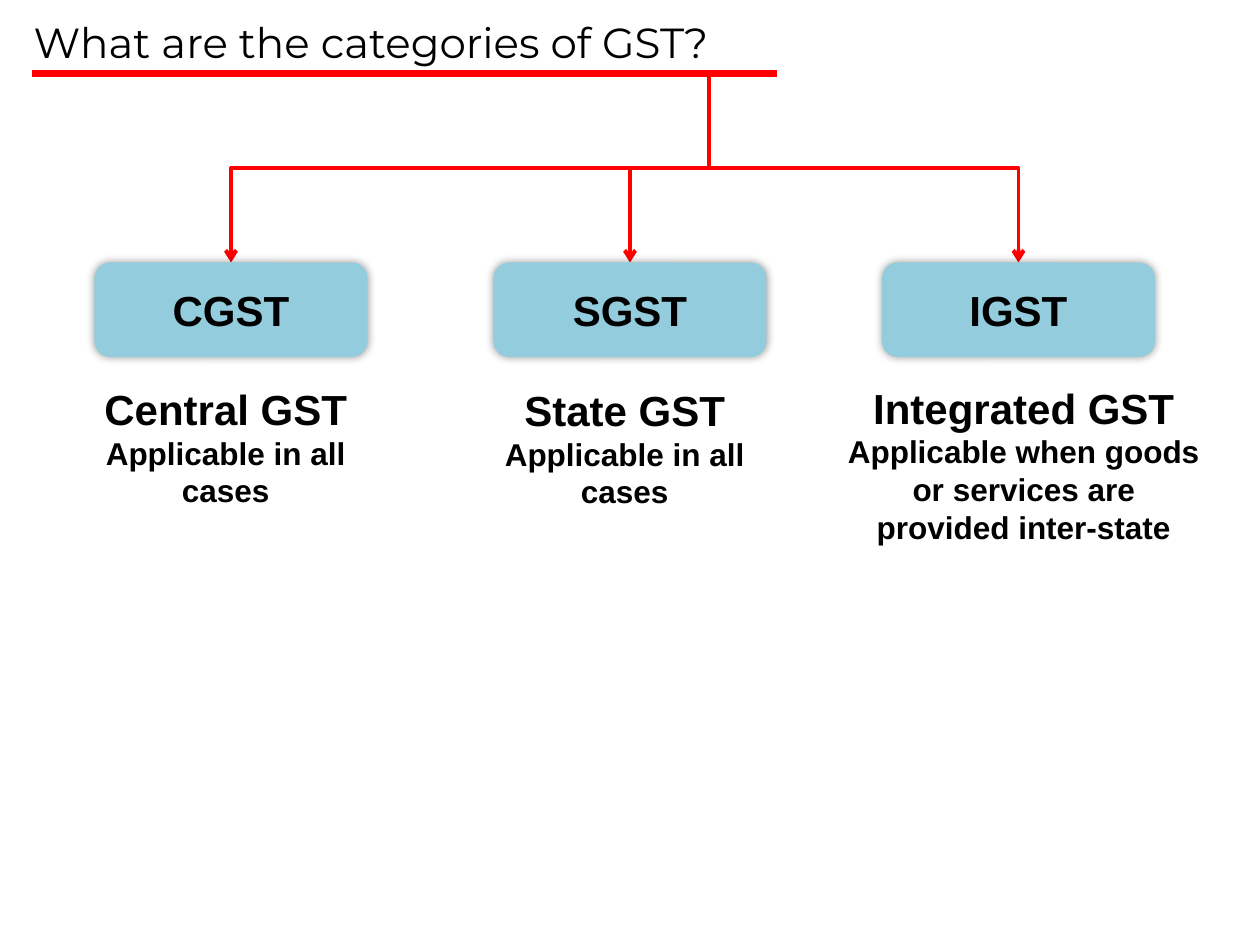
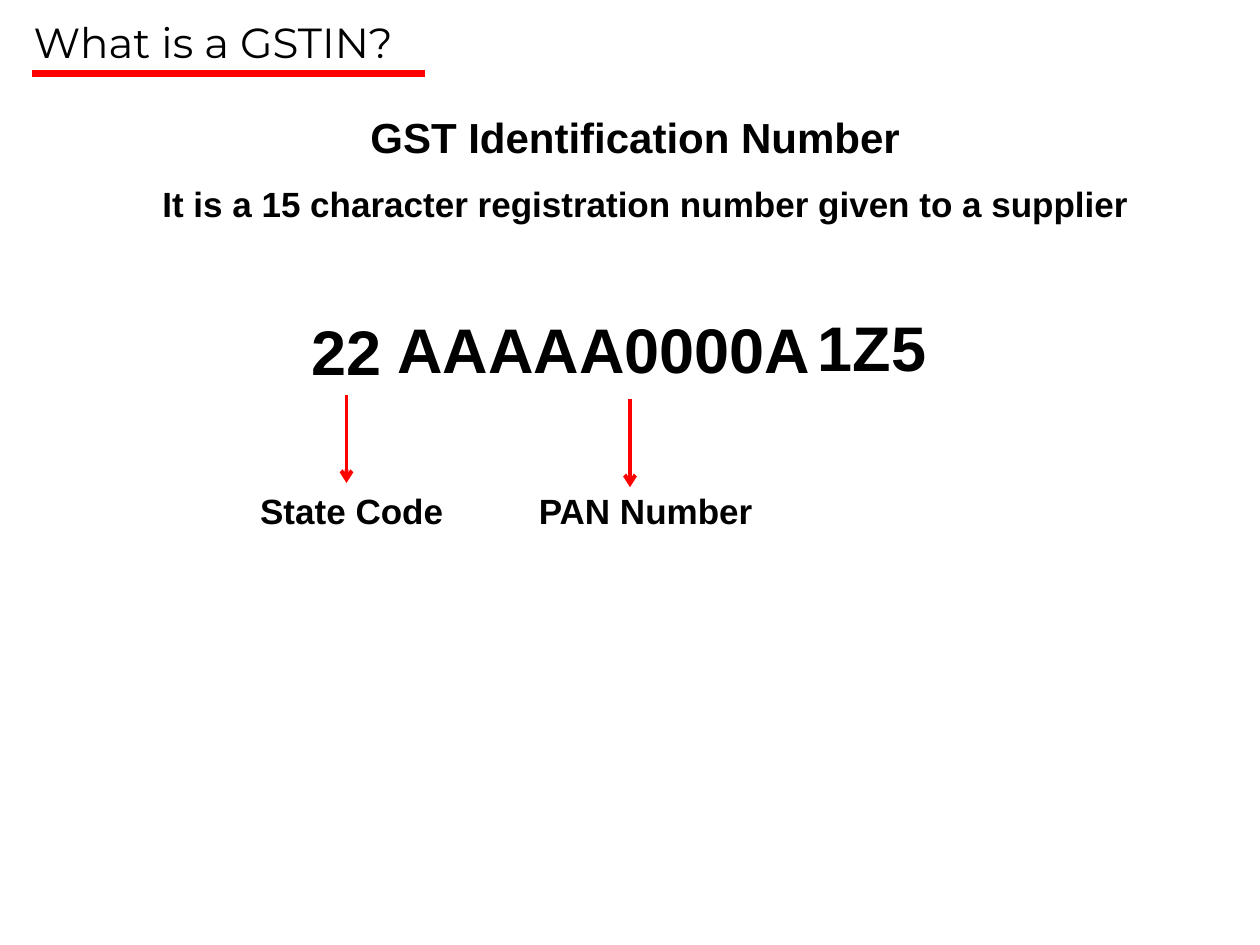
from lxml import etree
from pptx import Presentation
from pptx import util as u
from pptx.dml.color import RGBColor
from pptx.enum import shapes, text
from pptx.oxml import ns

COLUMNS, ROWS = 120, 90
TITLE_ONLY = 5
BLACK, RED, BLUE = "000000", "FF0000", "93CDDD"
HEADING_FONT, BODY_FONT = "Montserrat", "Arial"


def rgb(value):
    return RGBColor.from_string(value)


def add_xml(parent, tag, **attributes):
    return etree.SubElement(parent, ns.qn(tag), attributes)


def write(frame, *lines, sizes=(24,), font=BODY_FONT, bold=True,
          align=text.PP_ALIGN.CENTER, anchor=text.MSO_ANCHOR.TOP):
    """Fill a text frame with one paragraph per line, each with its own size."""
    frame.word_wrap = True
    frame.auto_size = text.MSO_AUTO_SIZE.NONE
    frame.vertical_anchor = anchor
    for index, (line, size) in enumerate(zip(lines, sizes)):
        paragraph = frame.add_paragraph() if index else frame.paragraphs[0]
        paragraph.alignment = align
        run = paragraph.add_run()
        run.text = line
        run.font.name, run.font.size, run.font.bold = font, u.Pt(size), bold
        run.font.color.rgb = rgb(BLACK)


class Deck:
    """Holds the shared style and the current slide; lengths are grid units."""

    def __init__(self):
        self.file = Presentation()
        self.file.slide_width, self.file.slide_height = u.Inches(10), u.Inches(7.5)
        self.slide = None

    def x(self, columns):
        return round(self.file.slide_width * columns / COLUMNS)

    def y(self, rows):
        return round(self.file.slide_height * rows / ROWS)

    def area(self, left, top, width, height):
        return self.x(left), self.y(top), self.x(width), self.y(height)

    def start(self, heading, rule_end):
        """Add a slide with its heading and the red rule under it."""
        self.slide = self.file.slides.add_slide(self.file.slide_layouts[TITLE_ONLY])
        title = self.slide.shapes.title
        title.left, title.top, title.width, title.height = self.area(2, 1, 77, 6)
        write(title.text_frame, heading, font=HEADING_FONT, bold=False,
              align=text.PP_ALIGN.LEFT)
        self.line((3, 7), (rule_end, 7), weight=4.5)

    def label(self, left, top, width, height, *lines, **style):
        box = self.slide.shapes.add_textbox(*self.area(left, top, width, height))
        write(box.text_frame, *lines, **style)

    def card(self, left, top, width, height, name):
        card = self.slide.shapes.add_shape(
            shapes.MSO_SHAPE.ROUNDED_RECTANGLE, *self.area(left, top, width, height))
        card.fill.solid()
        card.fill.fore_color.rgb = rgb(BLUE)
        card.line.fill.background()
        effects = add_xml(card.element.spPr, "a:effectLst")
        glow = add_xml(effects, "a:outerShdw", blurRad=str(u.Pt(5)), dist="0",
                       algn="ctr", rotWithShape="0")
        shade = add_xml(glow, "a:srgbClr", val=BLACK)
        add_xml(shade, "a:alpha", val="40000")
        write(card.text_frame, name, anchor=text.MSO_ANCHOR.MIDDLE)

    def line(self, start, end, weight=2.25, arrow=False,
             kind=shapes.MSO_CONNECTOR.STRAIGHT):
        connector = self.slide.shapes.add_connector(
            kind, self.x(start[0]), self.y(start[1]), self.x(end[0]), self.y(end[1]))
        connector.line.color.rgb = rgb(RED)
        connector.line.width = u.Pt(weight)
        if arrow:
            add_xml(connector.line._get_or_add_ln(), "a:tailEnd", type="arrow")
        add_xml(connector.element.spPr, "a:effectLst")
        return connector

    def branch(self, start, end):
        """Draw an elbow arrow that leaves and arrives vertically."""
        (x1, y1), (x2, y2) = start, end
        middle_x, middle_y = (x1 + x2) / 2, (y1 + y2) / 2
        rightward = x2 > x1
        half_width = (y2 - y1) / 2 * (-1 if rightward else 1)
        half_height = abs(x2 - x1) / 2
        elbow = self.line((middle_x - half_width, middle_y - half_height),
                          (middle_x + half_width, middle_y + half_height),
                          arrow=True, kind=shapes.MSO_CONNECTOR.ELBOW)
        turn = 270 if rightward else 90
        elbow.element.spPr.find(ns.qn("a:xfrm")).set("rot", str(turn * 60000))


def categories(deck):
    deck.start("What are the categories of GST?", rule_end=74)
    card_top, card_width, card_height = 25, 26, 9
    everywhere = "Applicable in all cases"
    interstate = "Applicable when goods or services are provided inter-state"
    taxes = [
        (9, "CGST", (6, 35.9, 31, 13.3), "Central GST", everywhere),
        (47, "SGST", (44, 36, 31, 13.3), "State GST", everywhere),
        (84, "IGST", (79, 35.8, 37, 17), "Integrated GST", interstate),
    ]
    for left, code, note_area, full_name, scope in taxes:
        deck.branch((67.5, 7), (left + card_width / 2, card_top))
        deck.card(left, card_top, card_width, card_height, code)
        deck.label(*note_area, full_name, scope, sizes=(24, 18))


def gstin(deck):
    deck.start("What is a GSTIN?", rule_end=40.5)
    deck.label(32, 10, 57, 6, "GST Identification Number")
    deck.label(11, 16.8, 101, 5.25,
               "It is a 15 character registration number given to a supplier", sizes=(20,))
    number_parts = [(26, 29.2, 14, "22"), (33, 29, 49, "AAAAA0000A"),
                    (73.4, 28.8, 19.3, "1Z5")]
    for left, top, width, part in number_parts:
        deck.label(left, top, width, 8.5, part, sizes=(36,))
    meanings = [(33, 37.6, 23, 21, "State Code"), (60, 38, 49, 25, "PAN Number")]
    for arrow_x, arrow_top, left, width, meaning in meanings:
        deck.line((arrow_x, arrow_top), (arrow_x, arrow_top + 8.4), arrow=True)
        deck.label(left, 46, width, 5.25, meaning, sizes=(20,))


def main():
    deck = Deck()
    categories(deck)
    gstin(deck)
    deck.file.save("out.pptx")


if __name__ == "__main__":
    main()
